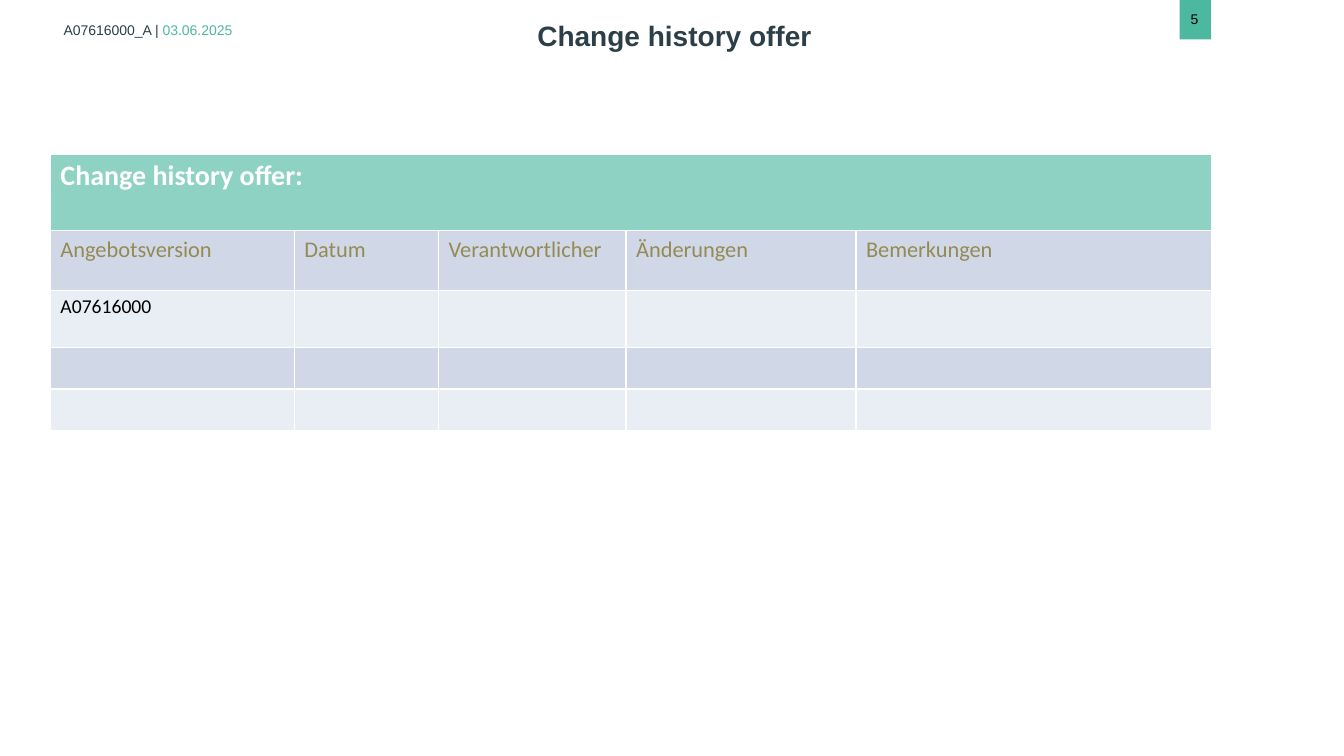
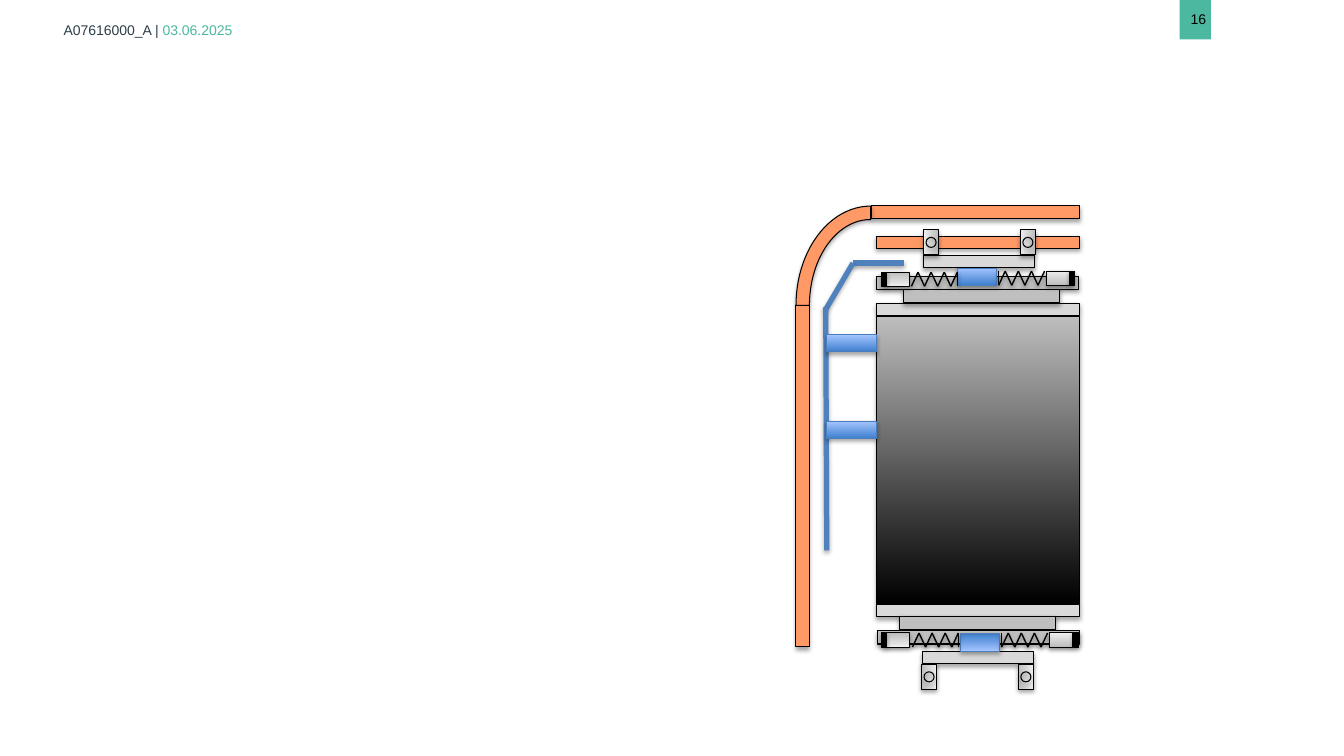
"""Builds a change history table page and a drawing of a clamped cylinder."""
from lxml import etree
from pptx import Presentation
from pptx.dml.color import RGBColor
from pptx.enum.shapes import MSO_CONNECTOR, MSO_SHAPE
from pptx.enum.text import MSO_ANCHOR, PP_ALIGN
from pptx.oxml.ns import qn
from pptx.util import Inches, Pt

RECT, OVAL, ARC = MSO_SHAPE.RECTANGLE, MSO_SHAPE.OVAL, MSO_SHAPE.BLOCK_ARC
STRAIGHT = MSO_CONNECTOR.STRAIGHT
TOP, MIDDLE = MSO_ANCHOR.TOP, MSO_ANCHOR.MIDDLE
LEFT, CENTER = PP_ALIGN.LEFT, PP_ALIGN.CENTER

GRID = Inches(0.1)
COLORS = {
    "dark": "2C3F48", "green": "4DB8A0", "black": "000000", "white": "FFFFFF",
    "table_head": "8ED2C3", "table_label": "948A54", "band_dark": "D0D8E8",
    "band_light": "E9EDF4", "pipe": "FF9966", "plate": "D9D9D9", "flange": "BFBFBF",
    "hose": "4F81BD", "blue_line": "4B7EBC", "blue_low": "3F80CE", "blue_high": "A4C4FF",
    "metal_low": "BDBDBD", "metal_high": "EEEEEE",
}
RGB = {name: RGBColor.from_string(value) for name, value in COLORS.items()}


def add_text(page, place, spans, size, bold=False, align=LEFT, anchor=TOP, inset=(1, 0.5)):
    box = page.shapes.add_textbox(*[int(v * GRID) for v in place])
    frame = box.text_frame
    frame.word_wrap = True
    frame.vertical_anchor = anchor
    frame.margin_left = frame.margin_right = int(inset[0] * GRID)
    frame.margin_top = frame.margin_bottom = int(inset[1] * GRID)
    para = frame.paragraphs[0]
    para.alignment = align
    para.font.name, para.font.size, para.font.bold = "Arial", Pt(size), bold
    for text, color in spans:
        span = para.add_run()
        span.text = text
        span.font.color.rgb = RGB[color]


def add_shadow(shape):
    effects = etree.SubElement(shape._element.spPr, qn("a:effectLst"))
    shadow = etree.SubElement(effects, qn("a:outerShdw"), blurRad="40000", dist="23000",
                              dir="5400000", rotWithShape="0")
    color = etree.SubElement(shadow, qn("a:srgbClr"), val=COLORS["black"])
    etree.SubElement(color, qn("a:alpha"), val="35000")


deck = Presentation()
deck.slide_width, deck.slide_height = Inches(13.33), Inches(7.5)
pages = []
for number in ("5", "16"):
    page = deck.slides.add_slide(deck.slide_layouts[6])
    pages.append(page)
    add_text(page, (6, 1.8, 35.1, 2.3), [("A07616000_A | ", "dark"), ("03.06.2025", "green")],
             10, anchor=MIDDLE, inset=(0.3, 0.3))
    tab = page.shapes.add_shape(RECT, 117 * GRID, 0, int(3.1 * GRID), int(3.9 * GRID))
    tab.shadow.inherit = False
    tab.fill.solid()
    tab.fill.fore_color.rgb = RGB["green"]
    tab.line.fill.background()
    add_text(page, (117.1, 0.6, 8, 2.7), [(number, "black")], 10)
history, drawing = pages

add_text(history, (29.1, 1.3, 75.6, 3.1), [("Change history offer", "dark")], 20, True, CENTER)

COLUMNS = (24.2, 14.3, 18.6, 22.8, 35.3)
ROWS = (7.6, 5.9, 5.7, 4.1, 4.1)
FILLS = ("table_head", "band_dark", "band_light", "band_dark", "band_light")
FONTS = ((20, "white"), (16, "table_label"), (14, "black"), (14, "black"), (14, "black"))
TEXTS = (
    ("Change history offer:",),
    ("Angebotsversion", "Datum", "Verantwortlicher", "Änderungen", "Bemerkungen"),
    ("A07616000",), (), (),
)
table = history.shapes.add_table(len(ROWS), len(COLUMNS), 5 * GRID, int(15.3 * GRID),
                                 int(sum(COLUMNS) * GRID), int(sum(ROWS) * GRID)).table
for column, width in zip(table.columns, COLUMNS):
    column.width = int(width * GRID)
for index, row in enumerate(table.rows):
    row.height = int(ROWS[index] * GRID)
    size, color = FONTS[index]
    for cell in row.cells:
        cell.fill.solid()
        cell.fill.fore_color.rgb = RGB[FILLS[index]]
        font = cell.text_frame.paragraphs[0].font
        font.name, font.size, font.bold = "Calibri", Pt(size), index == 0
        font.color.rgb = RGB[color]
    for cell, text in zip(row.cells, TEXTS[index]):
        cell.text_frame.paragraphs[0].add_run().text = text
table.cell(0, 0).merge(table.cell(0, len(COLUMNS) - 1))

STYLES = {
    "pipe": (RECT, ("pipe",), "black"),
    "bend": (ARC, ("pipe",), "black"),
    "plate": (RECT, ("plate",), "black"),
    "flange": (RECT, ("flange",), "black"),
    "cap": (RECT, ("black",), "black"),
    "hole": (OVAL, (), "black"),
    "body": (RECT, ("black", "metal_low", 90), "black"),
    "plug_left": (RECT, ("metal_low", "metal_high", 270), "black"),
    "plug_right": (RECT, ("metal_low", "metal_high", 90), "black"),
    "clamp_top": (RECT, ("metal_low", "metal_high", 180), "black"),
    "clamp_bottom": (RECT, ("metal_low", "metal_high", 0), "black"),
    "blue": (RECT, ("blue_low", "blue_high", 90), "blue_line"),
    "blue_turned": (RECT, ("blue_low", "blue_high", 270), "blue_line"),
}
PARTS = [
    ("pipe", 86.4, 20.4, 20.7, 1.3),
    ("bend", 78.95, 20.45, 14.8, 19.7),
    ("pipe", 78.95, 30.35, 1.3, 33.8),
    ("plate", 86.9, 30.1, 20.2, 1.2),
    ("flange", 86.9, 27.4, 20.1, 1.3),
    ("flange", 89.65, 28.75, 15.4, 1.3),
    ("body", 86.9, 31.4, 20.2, 28.5),
    ("plate", 91.55, 25.35, 11.1, 1.2),
    ("pipe", 86.95, 23.45, 20.1, 1.2),
    ("blue", 95, 26.6, 3.8, 1.7),
    ("blue", 82, 33.2, 4.9, 1.7),
    ("blue", 82, 41.8, 4.9, 1.7),
    ("plate", 86.9, 60, 20.2, 1.2),
    ("flange", 89.25, 61.15, 15.4, 1.3),
    ("flange", 87, 62.6, 20.1, 1.3),
    ("plate", 91.45, 64.65, 11.1, 1.2),
    ("blue_turned", 95.3, 62.9, 3.8, 1.7),
]
for style, left, top in (("clamp_top", 91.6, 22.8), ("clamp_top", 101.2, 22.8),
                         ("clamp_bottom", 91.4, 65.9), ("clamp_bottom", 101, 65.9)):
    PARTS += [(style, left, top, 1.5, 2.5), ("hole", left + 0.25, top + 0.75, 1, 1)]
for style, plug, cap, top in (("plug_left", 87.9, 87.4, 27), ("plug_right", 103.8, 106.1, 26.9),
                              ("plug_left", 87.9, 87.4, 62.8), ("plug_right", 104.1, 106.5, 62.8)):
    PARTS += [(style, plug, top, 2.3, 1.4), ("cap", cap, top, 0.5, 1.4)]

HOSE = [(84.6, 26.1, 89.7, 26.1), (84.6, 26.1, 81.9, 30.7), (81.9, 30.5, 82, 54.6)]
COILS, PITCH, SPRING_HEIGHT = 7, 0.65, 1.4
springs = []
for start, top, side in ((90.4, 27, 1), (103.6, 26.9, -1), (90.5, 62.8, 1), (103.9, 62.8, -1)):
    levels = (top + SPRING_HEIGHT, top)[::side]
    points = [(start + side * PITCH * i, levels[i % 2]) for i in range(COILS + 1)]
    points.append((points[-1][0], levels[0]))
    springs += [(*begin, *end) for begin, end in zip(points, points[1:])]

for place in HOSE:
    line = drawing.shapes.add_connector(STRAIGHT, *[int(v * GRID) for v in place])
    line.line.color.rgb = RGB["hose"]
    line.line.width = Pt(3.75)
    add_shadow(line)

for style, *place in PARTS:
    preset, fill, outline = STYLES[style]
    part = drawing.shapes.add_shape(preset, *[int(v * GRID) for v in place])
    if len(fill) == 3:
        part.fill.gradient()
        part.fill.gradient_angle = fill[2]
        for stop, color in zip(part.fill.gradient_stops, fill):
            stop.color.rgb = RGB[color]
    elif fill:
        part.fill.solid()
        part.fill.fore_color.rgb = RGB[fill[0]]
    else:
        part.fill.background()
    part.line.color.rgb = RGB[outline]
    part.line.width = Pt(0.75)
    if preset == ARC:
        for index, value in enumerate((108, 162, 0.09)):
            part.adjustments[index] = value
    add_shadow(part)

for place in springs:
    line = drawing.shapes.add_connector(STRAIGHT, *[int(v * GRID) for v in place])
    line.line.color.rgb = RGB["black"]
    line.line.width = Pt(1)
    add_shadow(line)

deck.save("out.pptx")
